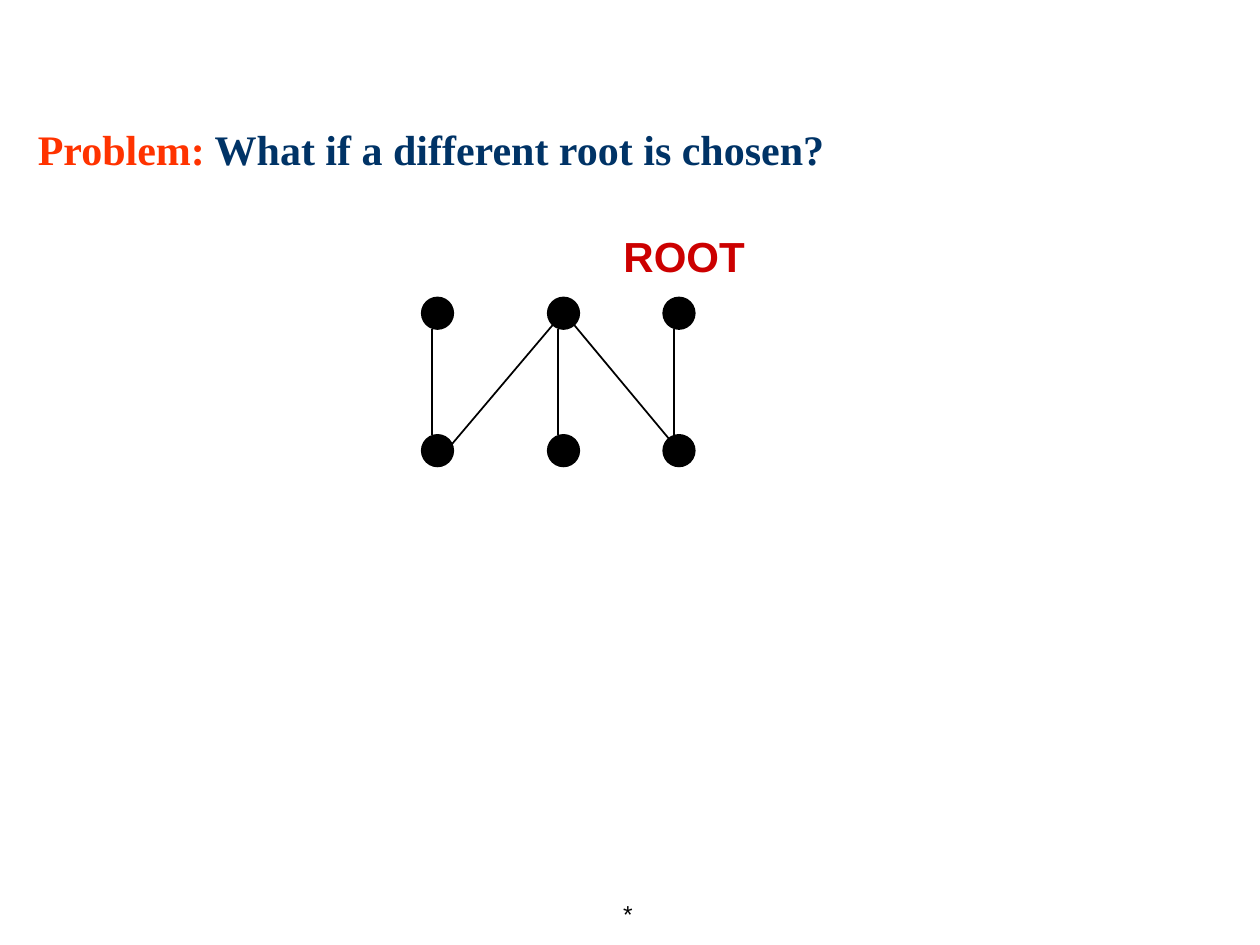
from lxml import etree
from pptx import Presentation
from pptx.dml.color import RGBColor
from pptx.enum.shapes import MSO_CONNECTOR, MSO_SHAPE
from pptx.enum.text import MSO_ANCHOR, MSO_AUTO_SIZE, PP_ALIGN
from pptx.oxml.ns import qn
from pptx.util import Pt

OVAL = MSO_SHAPE.OVAL
STRAIGHT = MSO_CONNECTOR.STRAIGHT
TOP, MIDDLE = MSO_ANCHOR.TOP, MSO_ANCHOR.MIDDLE
LEFT, RIGHT = PP_ALIGN.LEFT, PP_ALIGN.RIGHT
NO_FIT = MSO_AUTO_SIZE.NONE

COLORS = {"black": "000000", "label": "FF3300", "title": "003366", "root": "CC0000"}
COLUMNS = (241, 313, 379)
TOP_ROW, BOTTOM_ROW = 170, 248.5
NODE = 18
EDGE_INSET = 6
DIAGONALS = ((325, 182, 385, 254), (319, 182, 253, 260))


def rgb(name):
    return RGBColor.from_string(COLORS[name])


def set_text(sp, runs, font, size, bold=False, align=LEFT, anchor=TOP, wrap=False):
    tf = sp.text_frame
    frame_format = {
        "auto_size": NO_FIT, "word_wrap": wrap, "vertical_anchor": anchor,
        "margin_left": Pt(7.2), "margin_right": Pt(7.2),
        "margin_top": Pt(3.6), "margin_bottom": Pt(3.6),
    }
    for key, value in frame_format.items():
        setattr(tf, key, value)
    p = tf.paragraphs[0]
    p.alignment = align
    for text, color in runs:
        r = p.add_run()
        r.text = text
        for key, value in {"name": font, "size": Pt(size), "bold": bold}.items():
            setattr(r.font, key, value)
        r.font.color.rgb = rgb(color)


def add_title(slide, box, runs):
    sp = slide.shapes.title
    for key, value in zip(("left", "top", "width", "height"), box):
        setattr(sp, key, Pt(value))
    set_text(sp, runs, "Times New Roman", 24, bold=True, wrap=True)


def add_label(slide, box, text, color, size, **text_format):
    sp = slide.shapes.add_textbox(*map(Pt, box))
    set_text(sp, [(text, color)], "Arial", size, **text_format)


def add_node(shapes, x, y):
    sp = shapes.add_shape(OVAL, Pt(x), Pt(y), Pt(NODE), Pt(NODE))
    sp.shadow.inherit = False
    sp.fill.solid()
    sp.fill.fore_color.rgb = rgb("black")
    sp.line.color.rgb = rgb("black")
    sp.line.width = Pt(1)


def add_edge(shapes, *ends):
    line = shapes.add_connector(STRAIGHT, *map(Pt, ends))
    line.line.color.rgb = rgb("black")
    line.line.width = Pt(1)
    etree.SubElement(line._element.spPr, qn("a:effectLst"))


def add_graph(slide):
    shapes = slide.shapes.add_group_shape().shapes
    for x in COLUMNS:
        add_node(shapes, x, TOP_ROW)
        add_edge(shapes, x + EDGE_INSET, TOP_ROW + NODE, x + EDGE_INSET, BOTTOM_ROW)
        add_node(shapes, x, BOTTOM_ROW)
    for ends in DIAGONALS:
        add_edge(shapes, *ends)


def main():
    prs = Presentation()
    prs.slide_width, prs.slide_height = Pt(720), Pt(540)
    slide = prs.slides.add_slide(prs.slide_layouts[5])
    add_label(slide, (320.4, 504, 48.2, 36), "*", "black", 14, align=RIGHT, anchor=MIDDLE)
    add_title(slide, (14.4, 67, 648, 38.9),
              [("Problem:", "label"), (" What if a different root is chosen?", "title")])
    add_graph(slide)
    add_label(slide, (349.2, 128.2, 83.5, 36), "ROOT", "root", 24, bold=True)
    prs.save("out.pptx")


if __name__ == "__main__":
    main()
